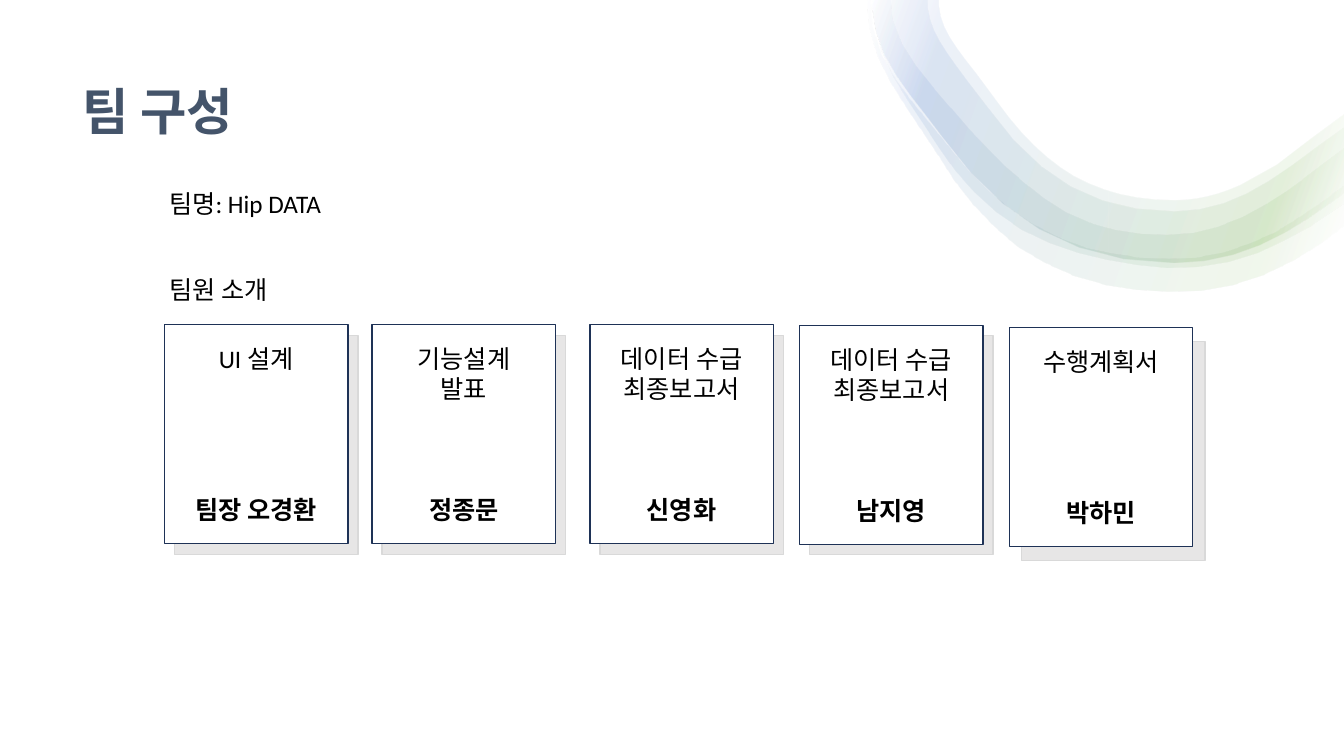
from lxml import etree
from pptx import Presentation
from pptx.dml.color import RGBColor
from pptx.enum.shapes import MSO_SHAPE
from pptx.enum.text import MSO_ANCHOR, MSO_AUTO_SIZE, PP_ALIGN
from pptx.oxml.ns import qn
from pptx.util import Inches, Pt

RECT = MSO_SHAPE.RECTANGLE
MIDDLE, BOTTOM = MSO_ANCHOR.MIDDLE, MSO_ANCHOR.BOTTOM
CENTER = PP_ALIGN.CENTER
GROW = MSO_AUTO_SIZE.SHAPE_TO_FIT_TEXT

THEME = {
    "font": "Calibri",
    "head": Pt(36),
    "body": Pt(18),
    "title": RGBColor.from_string("44546A"),
    "ink": RGBColor.from_string("000000"),
    "paper": RGBColor.from_string("FFFFFF"),
    "navy": RGBColor.from_string("1E3256"),
    "shade": RGBColor.from_string("E7E6E6"),
    "rim": RGBColor.from_string("D9D9D9"),
    "fade": [(2, "FFFFFF"), (16, "70AD47"), (85, "4472C4"), (100, "FFFFFF")],
}


def style(para, size, color, bold=False):
    para.font.name = THEME["font"]
    para.font.size = size
    para.font.color.rgb = color
    para.font.bold = bold


def trace(steps, count=6):
    points = []
    for step in steps:
        if len(step) == 2:
            points.append(step)
            continue
        nodes = [points[-1], step[:2], step[2:4], step[4:]]
        for i in range(1, count + 1):
            t = i / count
            mix = ((1 - t) ** 3, 3 * t * (1 - t) ** 2, 3 * t * t * (1 - t), t ** 3)
            points.append(tuple(sum(m * n[k] for m, n in zip(mix, nodes)) for k in (0, 1)))
    return [(Inches(x), Inches(y)) for x, y in points]


prs = Presentation()
prs.slide_width, prs.slide_height = Inches(13.33), Inches(7.5)
slide = prs.slides.add_slide(prs.slide_layouts[6])
shapes = slide.shapes

back = shapes.add_shape(RECT, 0, 0, prs.slide_width, prs.slide_height)
back.shadow.inherit = False
back.fill.solid()
back.fill.fore_color.rgb = THEME["paper"]
back.line.fill.background()

wide = [
    (8.6, 0), (8.64, 0), (8.66, 0.27), (8.75, 0.54), (8.89, 0.79), (9.06, 1.02),
    (9.43, 1.47), (9.61, 1.69), (9.81, 1.89), (10.02, 2.07), (10.25, 2.22),
    (10.5, 2.35), (10.76, 2.45), (11.03, 2.51), (11.3, 2.55), (11.59, 2.56),
    (11.86, 2.55), (12.13, 2.5), (12.39, 2.41), (12.64, 2.3), (12.88, 2.15),
    (13.12, 1.99), (13.33, 1.83), (13.33, 2.23), (13.08, 2.42), (12.82, 2.58),
    (12.53, 2.72), (12.23, 2.82), (11.91, 2.88), (11.58, 2.89), (11.27, 2.87),
    (10.96, 2.82), (10.65, 2.73), (10.36, 2.6), (10.09, 2.44), (9.86, 2.24),
    (9.65, 2.02), (9.47, 1.79), (9.31, 1.54), (8.99, 1.06), (8.84, 0.82),
    (8.71, 0.56), (8.63, 0.28),
]
inner = [
    (8.65, 0), (8.83, 0), (8.85, 0.2), (8.94, 0.43), (9.08, 0.65), (9.24, 0.85),
    (9.6, 1.27), (9.96, 1.64), (10.15, 1.8), (10.35, 1.96), (10.57, 2.1),
    (10.8, 2.2), (11.05, 2.27), (11.31, 2.31), (11.57, 2.32), (11.83, 2.3),
    (12.07, 2.24), (12.31, 2.15), (12.53, 2.03), (12.75, 1.89), (12.97, 1.73),
    (13.33, 1.46), (13.33, 2.01), (13, 2.23), (12.74, 2.37), (12.47, 2.5),
    (12.18, 2.59), (11.87, 2.64), (11.57, 2.65), (11.27, 2.62), (10.98, 2.57),
    (10.69, 2.5), (10.4, 2.4), (10.13, 2.27), (9.88, 2.1), (9.66, 1.9),
    (9.47, 1.69), (9.31, 1.46), (9.01, 1.01), (8.86, 0.77), (8.74, 0.51),
    (8.67, 0.24),
]
base = [
    (13.33, 1.9), (13.19, 2), (12.74, 2.33, 12.27, 2.6, 11.64, 2.6),
    (10.58, 2.6, 9.89, 2.12, 9.34, 1.35), (9.02, 0.91, 8.69, 0.61, 8.65, 0.08),
]
middle = [
    (8.65, 0), (9.2, 0), (9.2, 0.08), (9.23, 0.32, 9.36, 0.49, 9.59, 0.8),
    (9.79, 1.06), (10.3, 1.78, 10.86, 2.09, 11.64, 2.09),
    (12.16, 2.09, 12.54, 1.84, 13.05, 1.45), (13.33, 1.25),
] + base
upper = [
    (8.65, 0), (9.31, 0), (9.31, 0.06), (9.33, 0.28, 9.45, 0.44, 9.68, 0.73),
    (9.88, 1), (10.12, 1.34, 10.37, 1.58, 10.64, 1.74),
    (10.93, 1.9, 11.25, 1.98, 11.64, 1.98), (11.86, 1.98, 12.07, 1.93, 12.29, 1.83),
    (12.65, 1.63), (12.99, 1.37), (13.33, 1.12),
] + base

for steps in (wide, inner, middle, upper):
    points = trace(steps)
    pen = shapes.build_freeform(*points[0])
    pen.add_line_segments(points[1:], close=True)
    band = pen.convert_to_shape()
    band.shadow.inherit = False
    band.line.fill.background()
    band.fill.gradient()
    band.fill.gradient_angle = 160
    stops = band._element.spPr.find(".//" + qn("a:gsLst"))
    for stop in list(stops):
        stops.remove(stop)
    for spot, color in THEME["fade"]:
        stop = etree.SubElement(stops, qn("a:gs"), pos=str(spot * 1000))
        tint = etree.SubElement(stop, qn("a:srgbClr"), val=color)
        etree.SubElement(tint, qn("a:alpha"), val="10000")

title = shapes.add_textbox(Inches(0.72), Inches(0.28), Inches(10.75), Inches(1.17)).text_frame
title.word_wrap = True
title.vertical_anchor = BOTTOM
title.text = "팀 구성"
title.paragraphs[0].line_spacing = 0.9
style(title.paragraphs[0], THEME["head"], THEME["title"], True)

for text, top, width in (("팀명: Hip DATA", 1.82, 1.82), ("팀원 소개", 2.67, 1.27)):
    label = shapes.add_textbox(Inches(1.58), Inches(top), Inches(width), Inches(0.4)).text_frame
    label.word_wrap = False
    label.auto_size = GROW
    label.text = text
    style(label.paragraphs[0], THEME["body"], THEME["ink"])

team = [
    (1.63, 3.22, 1.73, 3.33, ["UI 설계"], "팀장 오경환"),
    (3.69, 3.22, 3.79, 3.33, ["기능설계", "발표"], "정종문"),
    (5.85, 3.22, 5.95, 3.33, ["데이터 수급", "최종보고서"], "신영화"),
    (7.93, 3.23, 8.03, 3.33, ["데이터 수급", "최종보고서"], "남지영"),
    (10.01, 3.25, 10.13, 3.39, ["수행계획서"], "박하민"),
]
for left, top, far, low, tasks, name in team:
    for x, y, fill, line in ((far, low, "shade", "rim"), (left, top, "paper", "navy")):
        card = shapes.add_shape(RECT, Inches(x), Inches(y), Inches(1.82), Inches(2.17))
        card.shadow.inherit = False
        card.fill.solid()
        card.fill.fore_color.rgb = THEME[fill]
        card.line.color.rgb = THEME[line]
        card.line.width = Pt(1)
    frame = card.text_frame
    frame.vertical_anchor = MIDDLE
    frame.text = "\n".join(tasks + [name])
    for para in frame.paragraphs:
        para.alignment = CENTER
        style(para, THEME["body"], THEME["ink"])
    para.font.bold = True
    para.space_before = Pt(21.7 * (5 - len(tasks)))

prs.save("out.pptx")
